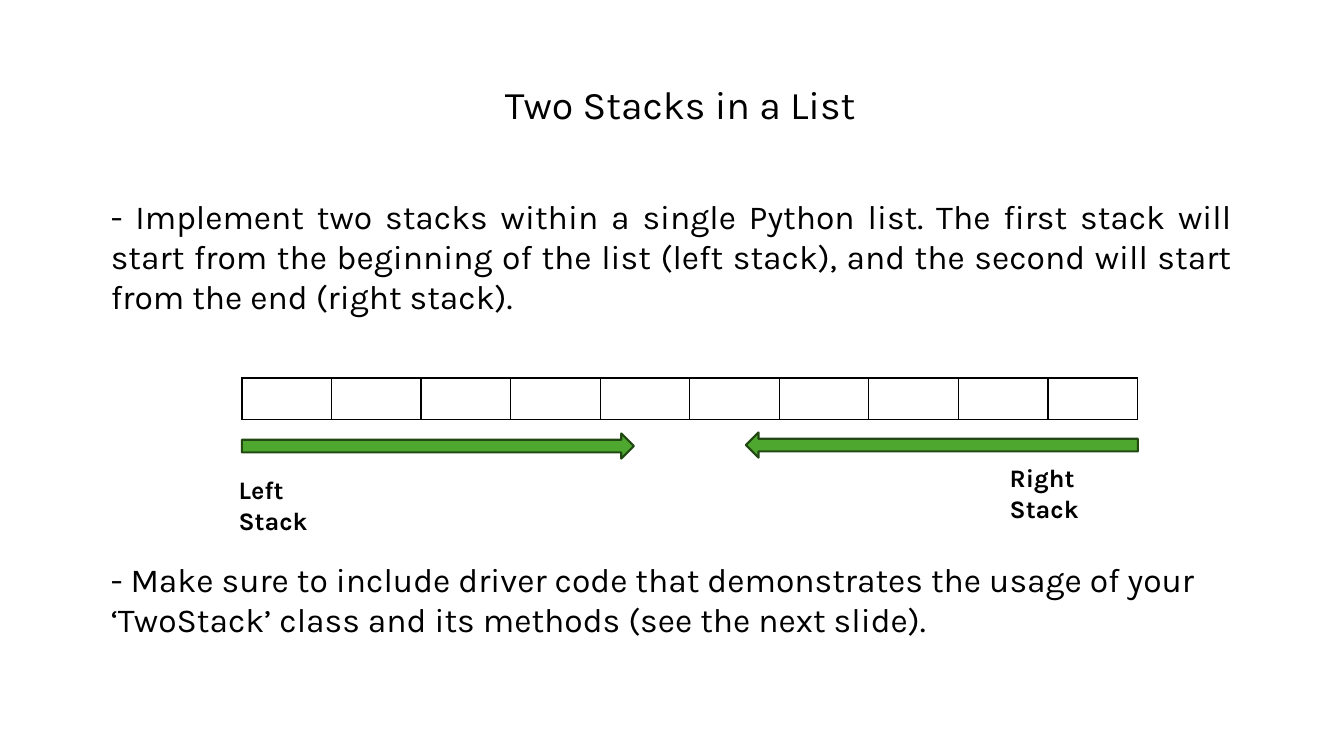
from lxml import etree
from pptx import Presentation
from pptx.dml.color import RGBColor
from pptx.enum.shapes import MSO_SHAPE
from pptx.enum.text import MSO_ANCHOR, MSO_AUTO_SIZE, PP_ALIGN
from pptx.oxml.ns import qn
from pptx.util import Pt

BLACK = RGBColor(0x00, 0x00, 0x00)
GREEN = RGBColor(0x4E, 0xA7, 0x2E)
DARK_GREEN = RGBColor(0x22, 0x49, 0x14)
LEFT, JUSTIFY = PP_ALIGN.LEFT, PP_ALIGN.JUSTIFY
TOP, NO_FIT = MSO_ANCHOR.TOP, MSO_AUTO_SIZE.NONE
RIGHT_ARROW = MSO_SHAPE.RIGHT_ARROW
FONT = "Karla"

TITLE = "Two Stacks in a List"
TASKS = [
    "- Implement two stacks within a single Python list. The first stack will "
    "start from the beginning of the list (left stack), and the second will "
    "start from the end (right stack).",
    "- Make sure to include driver code that demonstrates the usage of your",
    "‘TwoStack’ class and its methods (see the next slide).",
]
DIAGRAM_GAP = 172.8  # room between the first and second task
# label, label box (left, top, width), arrow top, arrow rotation
STACKS = [
    ("Left Stack", (163.4, 335.5, 97.2), 309.6, 0),
    ("Right Stack", (714.2, 326.9, 108), 308.9, 180),
]
CELL_COUNT, CELL_WIDTH, CELL_HEIGHT = 10, 64, 29.5
LIST_LEFT, LIST_TOP = 172.8, 270
LIST_WIDTH = CELL_COUNT * CELL_WIDTH
ARROW_WIDTH, ARROW_HEIGHT = 280, 18


def place(part, left, top, width, height):
    part.left, part.top = Pt(left), Pt(top)
    part.width, part.height = Pt(width), Pt(height)


def write(frame, lines, size, bold=False, align=LEFT, gaps=()):
    """Fill a text frame; gaps maps a line index to the space before it."""
    gaps = dict(gaps)
    frame.word_wrap = True
    frame.auto_size = NO_FIT
    frame.vertical_anchor = TOP
    for index, line in enumerate(lines):
        paragraph = frame.paragraphs[0] if index == 0 else frame.add_paragraph()
        paragraph.alignment = align
        paragraph.line_spacing = 1.0
        paragraph.space_before = Pt(gaps.get(index, 0))
        properties = paragraph._p.get_or_add_pPr()
        properties.set("marL", "0")
        properties.set("indent", "0")
        etree.SubElement(properties, qn("a:buNone"))
        run = paragraph.add_run()
        run.text = line
        run.font.name = FONT
        run.font.size = Pt(size)
        run.font.bold = bold
        run.font.color.rgb = BLACK


def outline_cell(cell):
    cell.fill.background()
    properties = cell._tc.get_or_add_tcPr()
    for index, side in enumerate(("lnL", "lnR", "lnT", "lnB")):
        border = etree.Element(qn(f"a:{side}"), w=str(Pt(1)))
        fill = etree.SubElement(border, qn("a:solidFill"))
        etree.SubElement(fill, qn("a:srgbClr"), val=str(BLACK))
        properties.insert(index, border)


def add_list(slide):
    table = slide.shapes.add_table(
        1, CELL_COUNT, Pt(LIST_LEFT), Pt(LIST_TOP), Pt(LIST_WIDTH), Pt(CELL_HEIGHT)
    ).table
    table.first_row = table.horz_banding = False
    for column in table.columns:
        column.width = Pt(CELL_WIDTH)
    for cell in table.iter_cells():
        outline_cell(cell)


def add_stack(slide, label, label_box, arrow_top, rotation):
    arrow_left = LIST_LEFT + (LIST_WIDTH - ARROW_WIDTH if rotation else 0)
    arrow = slide.shapes.add_shape(
        RIGHT_ARROW, Pt(arrow_left), Pt(arrow_top), Pt(ARROW_WIDTH), Pt(ARROW_HEIGHT)
    )
    arrow.rotation = rotation
    arrow.shadow.inherit = False
    arrow.fill.solid()
    arrow.fill.fore_color.rgb = GREEN
    arrow.line.color.rgb = DARK_GREEN
    arrow.line.width = Pt(1.5)

    left, top, width = label_box
    caption = slide.shapes.add_textbox(Pt(left), Pt(top), Pt(width), Pt(50.4))
    write(caption.text_frame, [label], 18, bold=True)


def main():
    deck = Presentation()
    deck.slide_width, deck.slide_height = Pt(960), Pt(540)
    slide = deck.slides.add_slide(deck.slide_layouts[1])

    title, tasks = slide.shapes.title, slide.placeholders[1]
    place(title, 353.5, 54, 557.3, 41)
    write(title.text_frame, [TITLE], 28)
    place(tasks, 72, 136.1, 815, 353.5)
    write(tasks.text_frame, TASKS, 24, align=JUSTIFY, gaps={1: DIAGRAM_GAP})

    add_list(slide)
    for stack in STACKS:
        add_stack(slide, *stack)
    deck.save("out.pptx")


if __name__ == "__main__":
    main()
